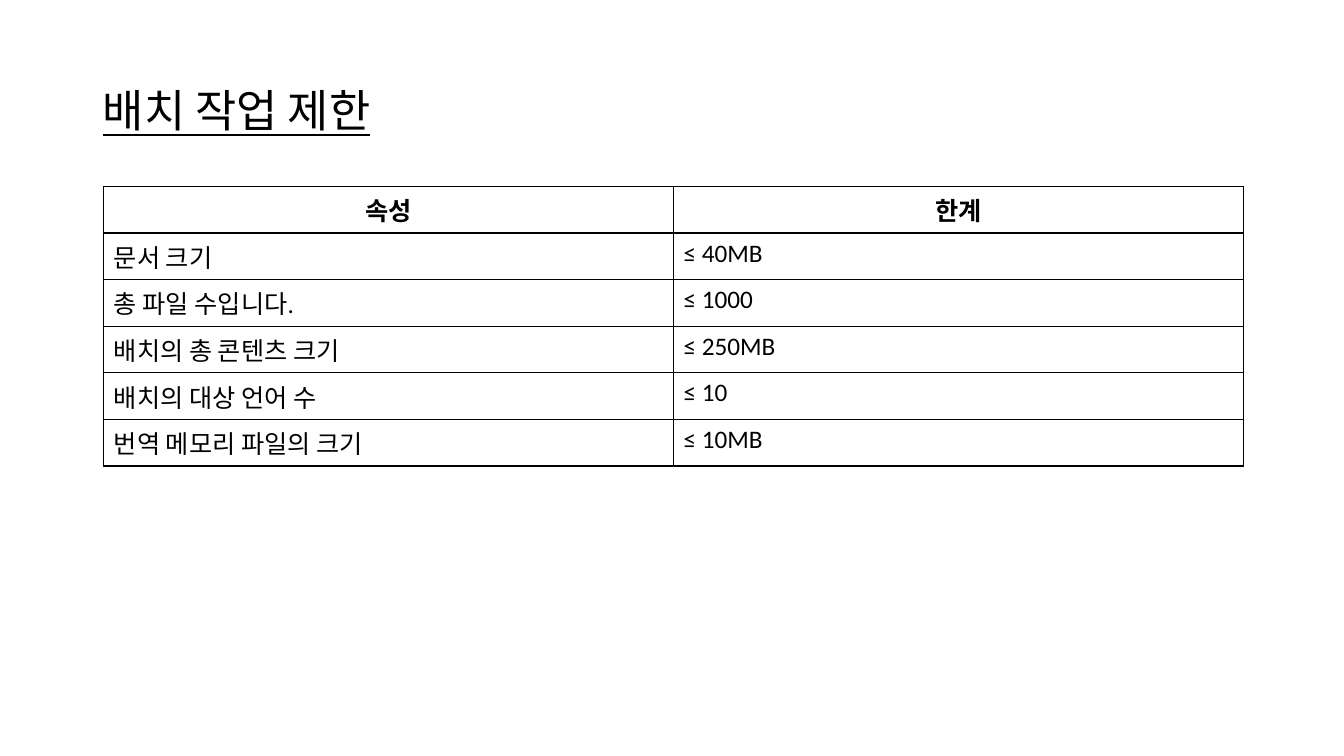
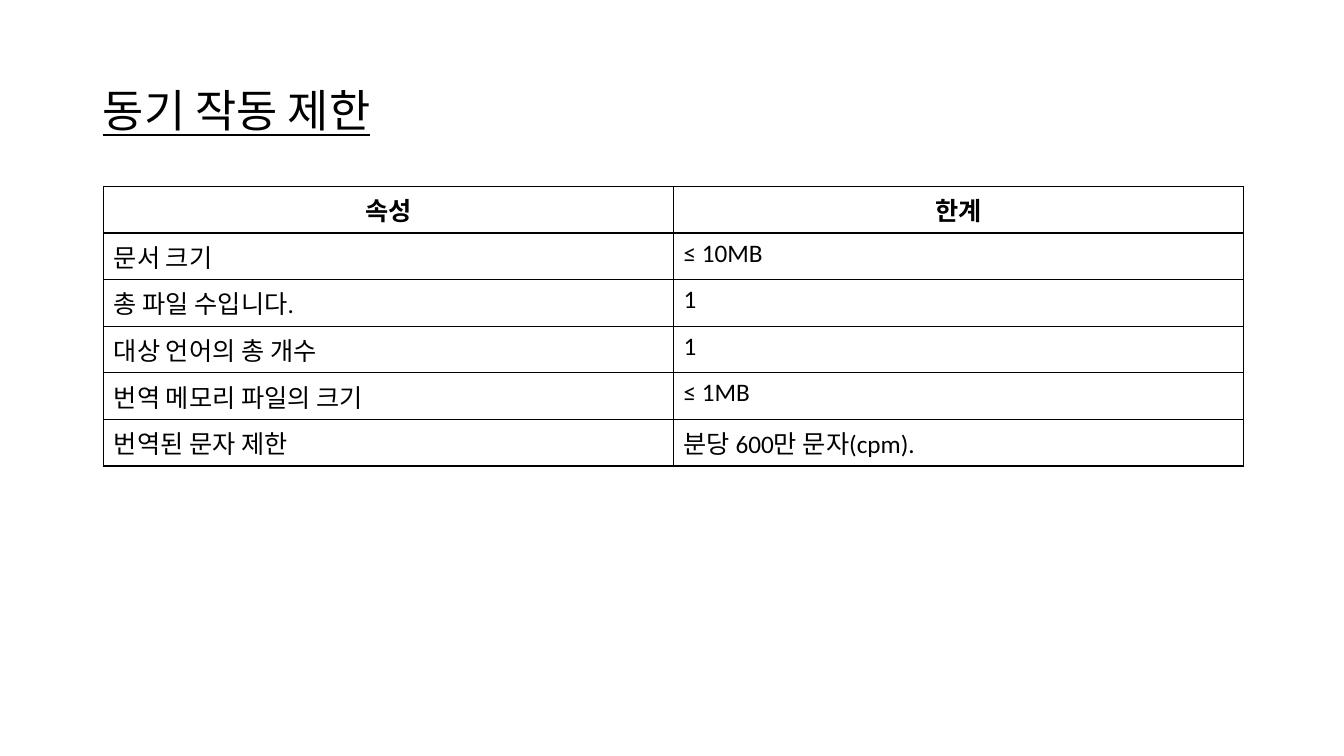
from dataclasses import dataclass

from lxml.etree import SubElement
from pptx import Presentation
from pptx.dml.color import RGBColor
from pptx.enum.text import MSO_ANCHOR, MSO_AUTO_SIZE, PP_ALIGN
from pptx.oxml.ns import qn
from pptx.presentation import Presentation as Deck
from pptx.slide import Slide
from pptx.table import _Cell as Cell
from pptx.text.text import Font
from pptx.util import Emu, Pt

EMU_PER_PX = 9144  # 100 px to the inch
COLORS = {"text": "000000", "border": "000000"}
FONT_NAME = "Calibri"
TITLE_SIZE, TABLE_SIZE = 32, 18
BORDER_WIDTH = 1
TITLE_BOX = (92, 40, 1150, 145)
TABLE_LEFT, TABLE_TOP = 103, 185
COLUMN_WIDTH, ROW_HEIGHT = 565, 46
HEADER = ("속성", "한계")
TITLE_ONLY_LAYOUT = 5


@dataclass(frozen=True)
class LimitSlide:
    title: str
    limits: tuple[tuple[str, str], ...]


LIMIT_SLIDES = (
    LimitSlide(
        "배치 작업 제한",
        (
            ("문서 크기", "≤ 40MB"),
            ("총 파일 수입니다.", "≤ 1000"),
            ("배치의 총 콘텐츠 크기", "≤ 250MB"),
            ("배치의 대상 언어 수", "≤ 10"),
            ("번역 메모리 파일의 크기", "≤ 10MB"),
        ),
    ),
    LimitSlide(
        "동기 작동 제한",
        (
            ("문서 크기", "≤ 10MB"),
            ("총 파일 수입니다.", "1"),
            ("대상 언어의 총 개수", "1"),
            ("번역 메모리 파일의 크기", "≤ 1MB"),
            ("번역된 문자 제한", "분당 600만 문자(cpm)."),
        ),
    ),
)


def px(length: int) -> Emu:
    return Emu(length * EMU_PER_PX)


def format_font(font: Font, size: int) -> None:
    font.name = FONT_NAME
    font.size = Pt(size)
    font.color.rgb = RGBColor.from_string(COLORS["text"])


def set_title(slide: Slide, text: str) -> None:
    title = slide.shapes.title
    title.left, title.top, title.width, title.height = map(px, TITLE_BOX)
    frame = title.text_frame
    frame.text = text
    frame.auto_size = MSO_AUTO_SIZE.NONE
    frame.vertical_anchor = MSO_ANCHOR.MIDDLE
    paragraph = frame.paragraphs[0]
    paragraph.alignment = PP_ALIGN.LEFT
    paragraph.line_spacing = 0.9
    format_font(paragraph.font, TITLE_SIZE)
    paragraph.font.underline = True


def add_borders(cell: Cell) -> None:
    """Draw a solid line on all four sides; call before setting the fill."""
    properties = cell._tc.get_or_add_tcPr()
    for side in ("a:lnL", "a:lnR", "a:lnT", "a:lnB"):
        line = SubElement(properties, qn(side), w=str(Pt(BORDER_WIDTH)))
        fill = SubElement(line, qn("a:solidFill"))
        SubElement(fill, qn("a:srgbClr"), val=COLORS["border"])


def fill_cell(cell: Cell, text: str, is_header: bool) -> None:
    add_borders(cell)
    cell.fill.background()
    cell.text = text
    paragraph = cell.text_frame.paragraphs[0]
    paragraph.alignment = PP_ALIGN.CENTER if is_header else PP_ALIGN.LEFT
    format_font(paragraph.font, TABLE_SIZE)
    paragraph.font.bold = is_header


def add_limit_table(slide: Slide, limits: tuple[tuple[str, str], ...]) -> None:
    rows = (HEADER, *limits)
    table = slide.shapes.add_table(
        len(rows),
        len(HEADER),
        px(TABLE_LEFT),
        px(TABLE_TOP),
        px(COLUMN_WIDTH * len(HEADER)),
        px(ROW_HEIGHT * len(rows)),
    ).table
    table.first_row = table.horz_banding = False
    for row_index, row in enumerate(rows):
        for column_index, text in enumerate(row):
            fill_cell(table.cell(row_index, column_index), text, row_index == 0)


def add_limit_slide(presentation: Deck, content: LimitSlide) -> None:
    slide = presentation.slides.add_slide(presentation.slide_layouts[TITLE_ONLY_LAYOUT])
    set_title(slide, content.title)
    add_limit_table(slide, content.limits)


def main() -> None:
    presentation = Presentation()
    presentation.slide_width, presentation.slide_height = px(1333), px(750)
    for content in LIMIT_SLIDES:
        add_limit_slide(presentation, content)
    presentation.save("out.pptx")


if __name__ == "__main__":
    main()
